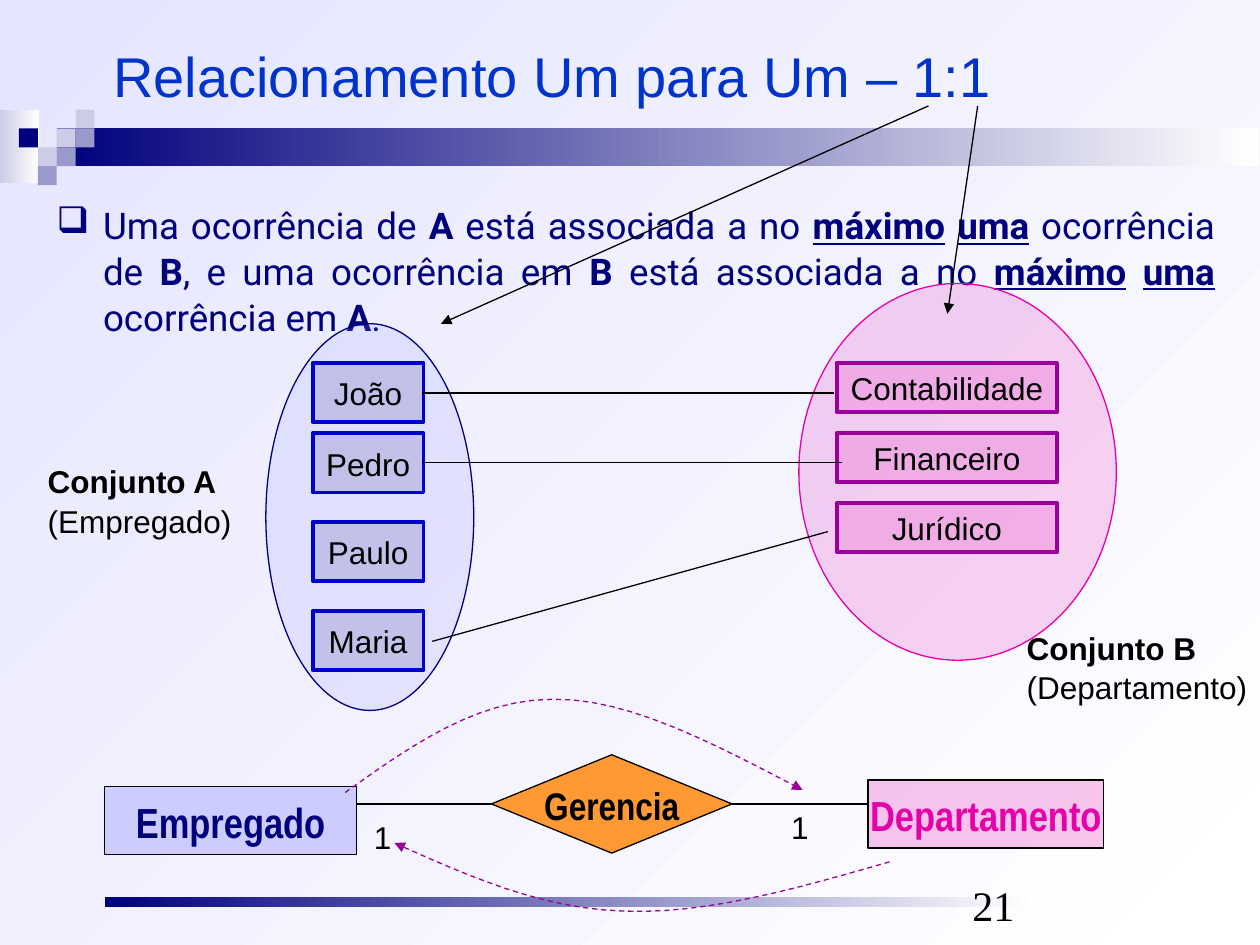
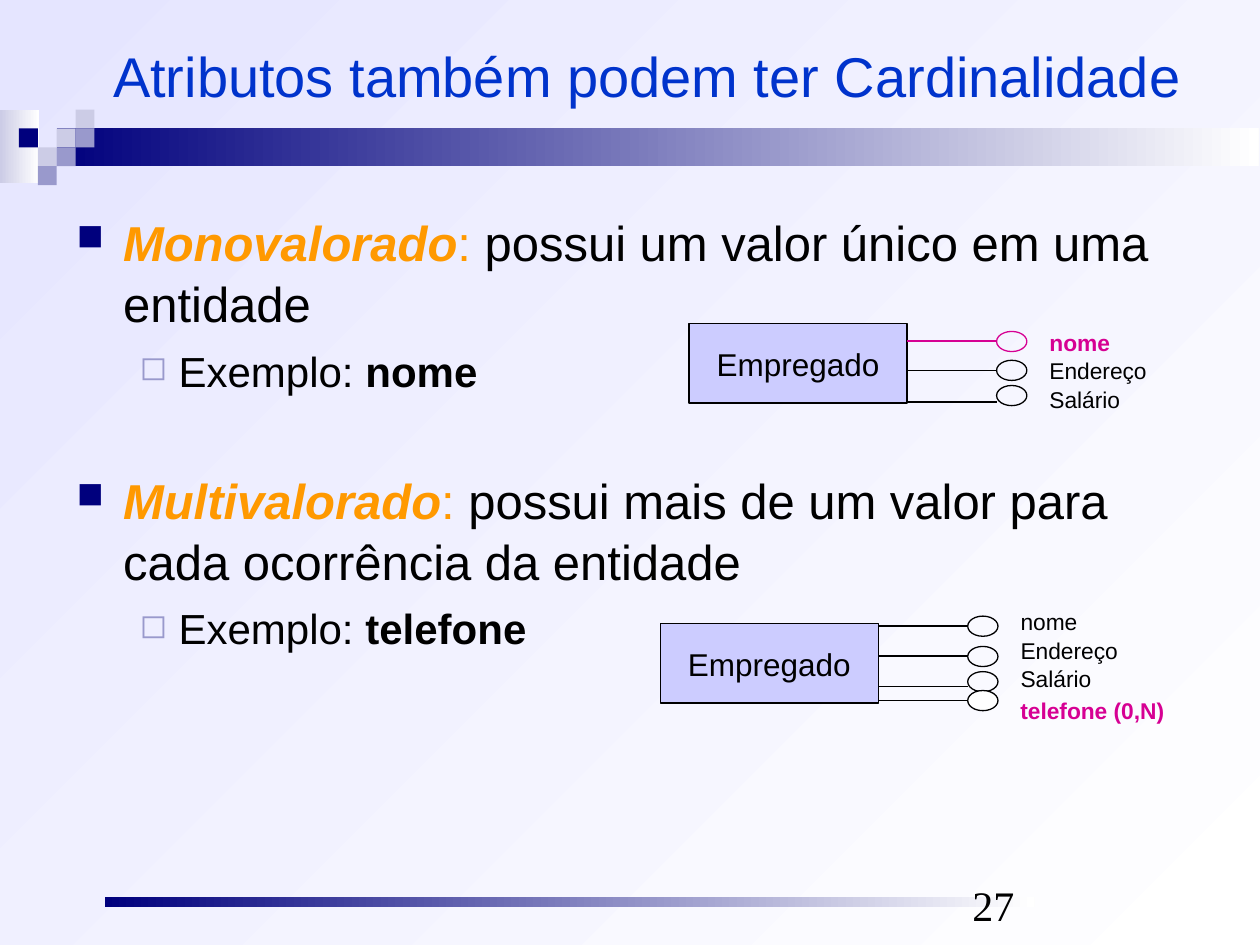
from lxml import etree
from pptx import Presentation
from pptx.dml.color import RGBColor
from pptx.enum import dml, shapes, text
from pptx.oxml.ns import qn
from pptx.util import Pt

hue = RGBColor.from_string
FORM = shapes.MSO_SHAPE
MID, TOP, LOW = text.MSO_ANCHOR.MIDDLE, text.MSO_ANCHOR.TOP, text.MSO_ANCHOR.BOTTOM
CENTER, JUST = text.PP_ALIGN.CENTER, text.PP_ALIGN.JUSTIFY
NAVY, BLUE, LILAC, MIST, PALE = "00007D", "0033CC", "9999CC", "CCCCE6", "CCCCFF"
PINK, ROSE, PLUM, AMBER = "E600AA", "D60093", "990099", "FF9900"
BLACK, WHITE = "000000", "FFFFFF"


def draw(page, kind, at, fill=None, edge=None, wide=0.75, solid=100, anchor=MID, wrap=False):
    box = [Pt(n) for n in at]
    if kind is None:
        item = page.shapes.add_textbox(*box)
    else:
        item = page.shapes.add_shape(kind, *box)
        item.shadow.inherit = False
        if isinstance(fill, tuple):
            item.fill.gradient()
            item.fill.gradient_angle = 0
            for stop, tone in zip(item.fill.gradient_stops, fill):
                stop.color.rgb = hue(tone)
        elif fill:
            item.fill.solid()
            item.fill.fore_color.rgb = hue(fill)
            if solid < 100:
                tone = item.element.spPr.find(qn("a:solidFill"))[0]
                etree.SubElement(tone, qn("a:alpha"), val=str(solid * 1000))
        else:
            item.fill.background()
        if edge:
            item.line.color.rgb = hue(edge)
            item.line.width = Pt(wide)
        else:
            item.line.fill.background()
    item.text_frame.vertical_anchor = anchor
    item.text_frame.word_wrap = wrap
    return item


def write(item, runs, size, tint=BLACK, face="Arial", align=None, bullet=None, before=0):
    frame = item.text_frame
    para = frame.paragraphs[0]
    if para.runs:
        para = frame.add_paragraph()
    para.line_spacing = 1.04
    para.space_before = Pt(before)
    if align is not None:
        para.alignment = align
    if bullet:
        mark, tone, scale, left, hang = bullet
        props = para._p.get_or_add_pPr()
        props.set("marL", str(Pt(left)))
        props.set("indent", str(-Pt(hang)))
        color = etree.SubElement(props, qn("a:buClr"))
        etree.SubElement(color, qn("a:srgbClr"), val=tone)
        etree.SubElement(props, qn("a:buSzPct"), val=str(scale * 1000))
        etree.SubElement(props, qn("a:buChar"), char=mark)
    para.font.size = Pt(size)
    para.font.name = face
    para.font.color.rgb = hue(tint)
    for words, style, *tone in runs:
        run = para.add_run()
        run.text = words
        if "b" in style:
            run.font.bold = True
        if "i" in style:
            run.font.italic = True
        if "u" in style:
            run.font.underline = True
        if tone:
            run.font.color.rgb = hue(tone[0])


deck = Presentation()
deck.slide_width, deck.slide_height = Pt(720), Pt(540)

CELL = 10.8
TILES = [(3, 1, MIST), (4, 0, MIST), (4, 1, LILAC), (2, 2, MIST),
         (1, 1, NAVY), (3, 2, LILAC), (2, 3, LILAC)]
BANDS = [((0, 62.6, 22.3, 41.8), MIST), ((32.4, 73.4, 686.9, 21.6), NAVY),
         ((59.8, 512.6, 531.4, 5.8), NAVY)]
pages = []
for title, number in [("Relacionamento Um para Um – 1:1", "21"),
                      ("Atributos também podem ter Cardinalidade", "27")]:
    page = deck.slides.add_slide(deck.slide_layouts[6])
    back = page.background.fill
    back.gradient()
    back.gradient_angle = 315
    for stop, tone in zip(back.gradient_stops, ("E5E5FF", WHITE)):
        stop.color.rgb = hue(tone)
    for at, tone in BANDS:
        draw(page, FORM.RECTANGLE, at, (tone, WHITE))
    for col, row, tone in TILES:
        draw(page, FORM.RECTANGLE, (col * CELL, 62.6 + row * CELL, CELL, CELL), tone)
    head = draw(page, None, (57.6, 9.4, 648, 65.5), wrap=True)
    write(head, [(title, "")], 32, BLUE)
    foot = draw(page, None, (548.6, 499, 167.8, 36), anchor=LOW, wrap=True)
    write(foot, [(number, "")], 24, face="Times New Roman")
    pages.append(page)
first, second = pages

rule = draw(first, None, (25.2, 111.6, 676.1, 113), anchor=TOP, wrap=True)
write(rule, [("Uma ocorrência de ", ""), ("A", "b"), (" está associada a no ", ""),
             ("máximo", "bu"), (" ", ""), ("uma", "bu"), (" ocorrência de ", ""),
             ("B", "b"), (", e uma ocorrência em ", ""), ("B", "b"),
             (" está associada a no ", ""), ("máximo", "bu"), (" ", ""), ("uma", "bu"),
             (" ocorrência em ", ""), ("A", "b"), (".", "")],
      21, NAVY, "Roboto", JUST, ("❑", NAVY, 100, 26.6, 26.6))

draw(first, FORM.OVAL, (151.9, 185, 118.8, 221), "9999FF", NAVY, solid=17)
draw(first, FORM.OVAL, (456.5, 162, 181.4, 215.3), PINK, PINK, solid=16)
for name, top in [("João", 207.4), ("Pedro", 247.7), ("Paulo", 298.1), ("Maria", 349.2)]:
    box = draw(first, FORM.RECTANGLE, (178.6, top, 63.4, 33.8), LILAC, "0000CC", 2.25, 43)
    write(box, [(name, "")], 18, align=CENTER)
for row, name in enumerate(["Contabilidade", "Financeiro", "Jurídico"]):
    box = draw(first, FORM.RECTANGLE, (478.1, 207.4 + 40 * row, 126, 28.1), PINK, PLUM, 2.25, 16)
    write(box, [(name, "")], 18, align=CENTER)
for name, kind, at in [("Conjunto A", "(Empregado)", (20.2, 259.9, 119.5, 50.4)),
                       ("Conjunto B", "(Departamento)", (579.6, 355, 140.4, 50.4))]:
    label = draw(first, None, at, anchor=TOP)
    write(label, [(name, "b")], 18)
    write(label, [(kind, "")], 18)

for name, form, at, fill, solid, size, tint in [
        ("Empregado", FORM.RECTANGLE, (59.8, 449.3, 144, 38.9), PALE, 100, 24, NAVY),
        ("Departamento", FORM.RECTANGLE, (496.1, 445.7, 134.6, 38.9), PINK, 22, 24, PINK),
        ("Gerencia", FORM.FLOWCHART_DECISION, (280.8, 431.3, 137.5, 56.2), "FF9933", 100, 22, BLACK)]:
    node = draw(first, form, at, fill, BLACK, solid=solid)
    write(node, [(name, "b")], size, tint, "Arial Narrow", CENTER)
for left, top in [(445, 457.2), (206.6, 463)]:
    one = draw(first, None, (left, top, 24.5, 28.8), anchor=TOP)
    write(one, [("1", "")], 18)

ARCS = [[(197.3, 452.9), (234.7, 426.2), (272.2, 399.6), (316.1, 399.6),
         (359.3, 398.9), (409, 425.5), (458.6, 451.4)],
        [(508.3, 492.5), (455.8, 507.6), (403.2, 522.7), (355.7, 520.6),
         (308.9, 519.1), (267.1, 500.4), (225.4, 481.7)]]
STEPS = 12
for arc in ARCS:
    dots = []
    for base in (0, 3):
        a, b, c, d = arc[base:base + 4]
        for step in range(1, STEPS + 1):
            t = step / STEPS
            s = 1 - t
            dots.append([Pt(s**3 * a[k] + 3 * s * s * t * b[k] + 3 * s * t * t * c[k] + t**3 * d[k])
                         for k in (0, 1)])
    path = first.shapes.build_freeform(Pt(arc[0][0]), Pt(arc[0][1]))
    path.add_line_segments(dots, close=False)
    curve = path.convert_to_shape()
    curve.shadow.inherit = False
    curve.fill.background()
    curve.line.color.rgb = hue(PLUM)
    curve.line.width = Pt(0.75)
    curve.line.dash_style = dml.MSO_LINE.DASH
    etree.SubElement(curve.line._get_or_add_ln(), qn("a:tailEnd"), type="triangle")

wires = [(first, 241.2, 224.6, 476.6, 224.6, BLACK, False, None),
         (first, 241.2, 264.2, 481, 264.2, BLACK, False, None),
         (first, 247, 366.5, 473, 303.8, BLACK, False, None),
         (first, 530.6, 60.5, 252, 185, BLACK, True, None),
         (first, 558.7, 60.5, 541.4, 179.3, BLACK, True, None),
         (first, 203.8, 459.4, 280.8, 459.4, BLACK, False, 1),
         (first, 496.1, 459.4, 418.3, 459.4, BLACK, False, 3)]

body = draw(second, None, (36.7, 116.6, 648, 362.9), anchor=TOP, wrap=True)
for term, rest, case, gap in [
        ("Monovalorado", " possui um valor único em uma entidade", "nome", 0),
        ("Multivalorado", " possui mais de um valor para cada ocorrência da entidade", "telefone", 41.5)]:
    write(body, [(term, "bi", AMBER), (":", "", AMBER), (rest, "")], 28,
          bullet=("■", NAVY, 75, 26.6, 26.6), before=gap)
    write(body, [("Exemplo: ", ""), (case, "b")], 24,
          bullet=("◻", LILAC, 80, 58.3, 22.3), before=6)

for left, top, high, tint, rows in [
        (393.8, 185, 183.6, ROSE, [(189.4, 194.8, ROSE), (205.9, 211.7, BLACK), (220.3, 229.7, BLACK)]),
        (377.3, 356.4, 343.4, BLACK, [(352.1, 357.8, BLACK), (369.4, 374.8, BLACK),
                                      (383.8, 392.4, BLACK), (394.6, 400.3, BLACK)])]:
    box = draw(second, FORM.RECTANGLE, (left, top, 124.6, 45.4), PALE, BLACK)
    write(box, [("Empregado", "")], 18, align=CENTER)
    for row, (oval, wire, tone) in enumerate(rows):
        draw(second, FORM.OVAL, (left + 175.7, oval, 17.3, 11.5), WHITE if row == 3 else None, tone)
        wires.append((second, left + 124.6, wire, left + 175.7, wire, tone, False, None))
    label = draw(second, None, (left + 198.8, high, 73.4, 54), anchor=TOP)
    write(label, [("nome", "b" if tint == ROSE else "")], 13, tint)
    for name in ("Endereço", "Salário"):
        write(label, [(name, "")], 13)
phone = draw(second, None, (576, 393.8, 96.5, 23), anchor=TOP)
write(phone, [("telefone (0,N)", "b")], 13, ROSE)

for page, x1, y1, x2, y2, tone, arrow, side in wires:
    wire = page.shapes.add_connector(shapes.MSO_CONNECTOR.STRAIGHT, Pt(x1), Pt(y1), Pt(x2), Pt(y2))
    if side:
        wire.end_connect(node, side)
    wire.line.color.rgb = hue(tone)
    wire.line.width = Pt(0.75)
    if arrow:
        etree.SubElement(wire.line._get_or_add_ln(), qn("a:tailEnd"), type="triangle")
    etree.SubElement(wire.element.spPr, qn("a:effectLst"))

deck.save("out.pptx")
